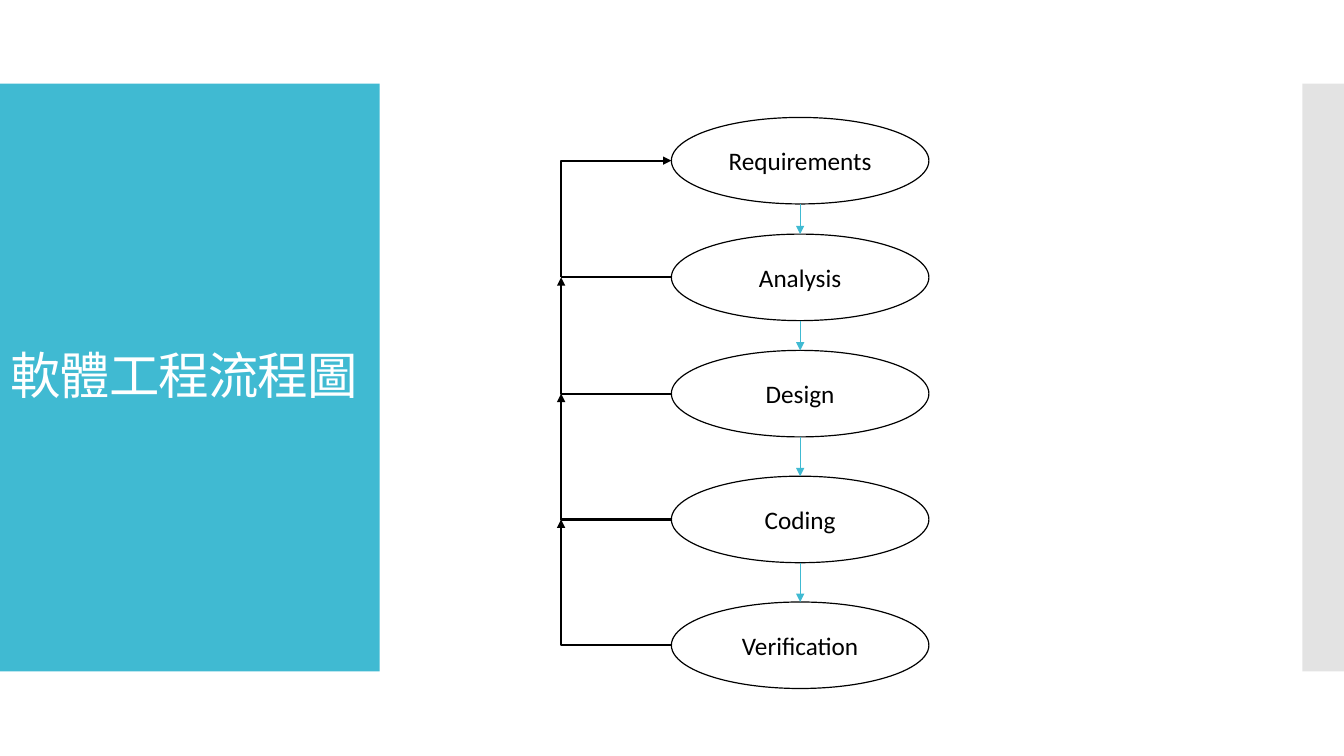
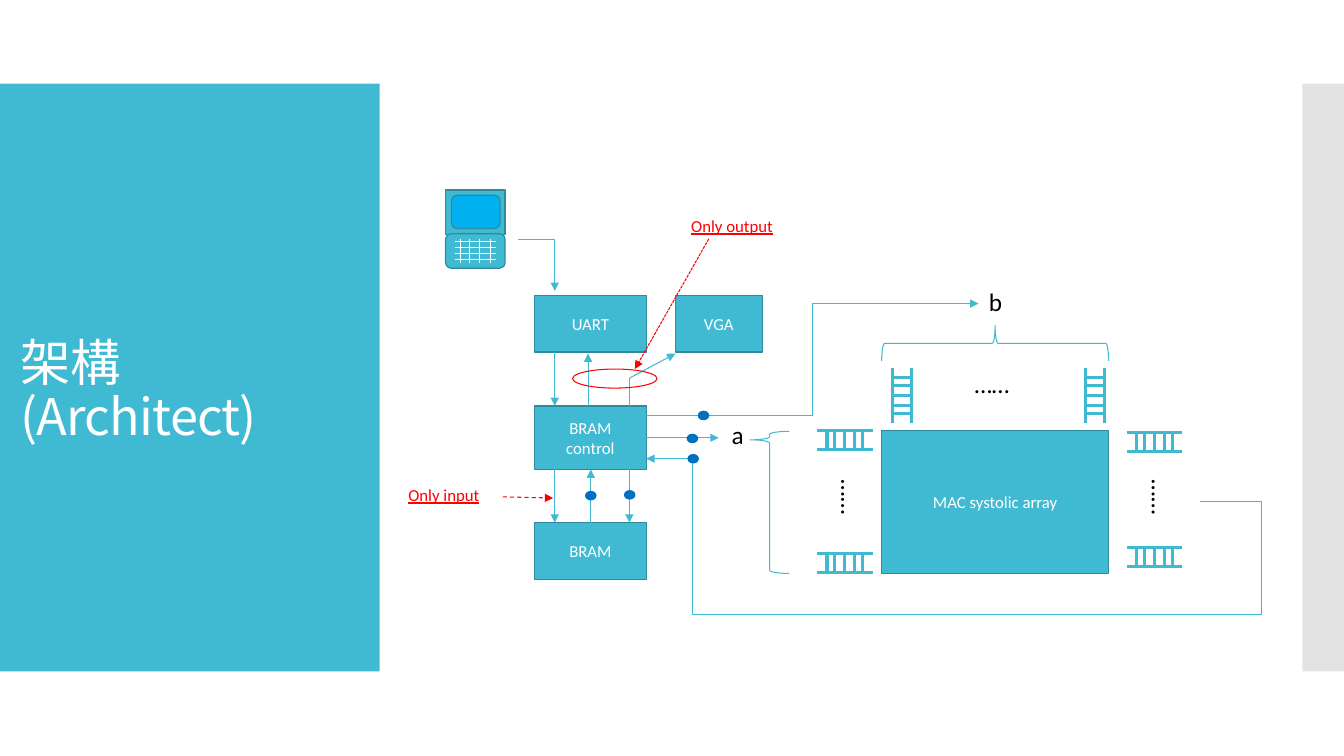
from dataclasses import dataclass
from itertools import pairwise

from lxml import etree
from pptx import Presentation
from pptx.dml.color import RGBColor
from pptx.enum import dml, shapes, text
from pptx.oxml.ns import qn
from pptx.util import Cm, Pt

SHAPE = shapes.MSO_SHAPE


@dataclass(frozen=True)
class Theme:
    accent: str = "40BAD2"
    accent_edge: str = "2F8A9B"
    band: str = "C8C8C8"
    ink: str = "000000"
    paper: str = "FFFFFF"
    note: str = "FF0000"
    node: str = "0070C0"
    screen: str = "00B0F0"
    title_font: str = "Noto Sans CJK SC"
    body_font: str = "Calibri"
    title_size: int = 36
    label_size: int = 18
    small_size: int = 12
    hairline: float = 0.75
    outline: float = 0.85
    heavy: float = 1.5
    rail: float = 2.25


T = Theme()


def rgb(value):
    return RGBColor.from_string(value)


def sub(parent, tag, **attrs):
    return etree.SubElement(parent, qn(tag), attrs)


def style_text(tf, size, color, font=T.body_font, align=None, underline=None):
    for p in tf.paragraphs:
        p.alignment = align
        for r in p.runs:
            r.font.size, r.font.name = Pt(size), font
            r.font.color.rgb = rgb(color)
            r.font.underline = underline


def unturned(start, end, turn):
    """Ends of a line before it is turned clockwise about its middle."""
    mid_x, mid_y = (start[0] + end[0]) / 2, (start[1] + end[1]) / 2
    dx, dy = end[0] - mid_x, end[1] - mid_y
    for _ in range(turn // 90):
        dx, dy = dy, -dx
    return (mid_x - dx, mid_y - dy), (mid_x + dx, mid_y + dy)


class Region:
    """Draws on a slide, in cm from the region's top left corner."""

    def __init__(self, s, left, top):
        self.shapes, self.left, self.top = s.shapes, left, top

    def point(self, x, y):
        return Cm(self.left + x), Cm(self.top + y)

    def shape(self, kind, x, y, w, h, fill=None, line=None, width=T.outline,
              label="", size=T.small_size, color=T.paper):
        sp = self.shapes.add_shape(kind, *self.point(x, y), Cm(w), Cm(h))
        sp.shadow.inherit = False
        if fill:
            sp.fill.solid()
            sp.fill.fore_color.rgb = rgb(fill)
        else:
            sp.fill.background()
        if line:
            sp.line.color.rgb = rgb(line)
            sp.line.width = Pt(width)
        else:
            sp.line.fill.background()
        if label:
            tf = sp.text_frame
            tf.text = label
            tf.vertical_anchor = text.MSO_ANCHOR.MIDDLE
            style_text(tf, size, color, align=text.PP_ALIGN.CENTER)
        return sp

    def block(self, x, y, w, h, label="", kind=SHAPE.RECTANGLE, fill=T.accent):
        return self.shape(kind, x, y, w, h, fill, T.accent_edge, label=label)

    def connect(self, start, end, color=T.accent, width=T.hairline,
                arrow=False, dash=None, bend=None, corner=False, turn=0):
        """Straight line, elbow turning at the fraction bend, or one corner."""
        kind = shapes.MSO_CONNECTOR
        straight = bend is None and not corner
        start, end = unturned(start, end, turn)
        c = self.shapes.add_connector(
            kind.STRAIGHT if straight else kind.ELBOW,
            *self.point(*start), *self.point(*end))
        c.line.color.rgb = rgb(color)
        c.line.width = Pt(width)
        if dash:
            c.line.dash_style = dash
        props = c.element.spPr
        geometry = props.find(qn("a:prstGeom"))
        if turn:
            props.find(qn("a:xfrm")).set("rot", str(turn * 60000))
        if corner:
            geometry.set("prst", "bentConnector2")
        if bend is not None:
            sub(geometry.find(qn("a:avLst")), "a:gd", name="adj1",
                fmla=f"val {round(bend * 100000)}")
        if arrow:
            sub(props.find(qn("a:ln")), "a:tailEnd", type="triangle")
        sub(props, "a:effectLst")

    def arrow(self, start, end, **look):
        self.connect(start, end, arrow=True, **look)

    def label(self, x, y, w, h, words, size=T.label_size, color=T.ink,
              rotation=0, underline=None):
        tb = self.shapes.add_textbox(*self.point(x, y), Cm(w), Cm(h))
        tb.rotation = rotation
        tf = tb.text_frame
        tf.word_wrap = True
        tf.text = words
        style_text(tf, size, color, underline=underline)

    def ladder(self, x, y, upright=False):
        length, gap = 1.39, 0.48
        spans = [((0, across), (length, across)) for across in (0, gap)]
        spans += [((along, 0), (along, gap))
                  for along in (0.24, 0.44, 0.69, 0.94, 1.14)]
        for span in spans:
            ends = [(v, u) if upright else (u, v) for u, v in span]
            self.connect(*[(x + u, y + v) for u, v in ends], width=T.rail)


def add_bands(layout, s):
    """Draws the side bands and moves them to the layout that slides share."""
    r = Region(s, 0, 2.11)
    panel = r.shape(SHAPE.RECTANGLE, 0, 0, 9.57, 14.81, T.accent)
    strip = r.shape(SHAPE.RECTANGLE, 32.82, 0, 1.05, 14.81, T.band)
    sub(strip.element.find(".//" + qn("a:srgbClr")), "a:alpha", val="50000")
    for sp in (strip, panel):
        layout.shapes.element.insert(2, sp.element)


def set_title(s, words, left, top, width, height):
    sp = s.shapes.title
    sp.left, sp.top, sp.width, sp.height = map(Cm, (left, top, width, height))
    tf = sp.text_frame
    tf.text = words
    tf.word_wrap = True
    tf.auto_size = text.MSO_AUTO_SIZE.NONE
    tf.vertical_anchor = text.MSO_ANCHOR.MIDDLE
    style_text(tf, T.title_size, T.paper, T.title_font, text.PP_ALIGN.LEFT)
    for p in tf.paragraphs:
        p.line_spacing = 0.9
        for r in p.runs:
            props = r.font._element
            props.set("spc", "-60")
            sub(props, "a:ea", typeface=T.title_font)


def draw_process(s, left, top):
    """Stages from top to bottom, with a feedback rail at the left edge."""
    r = Region(s, left, top)
    x, w, h = 2.78, 6.49, 2.18
    stages = {"Requirements": 0, "Analysis": 2.94, "Design": 5.87,
              "Coding": 9.04, "Verification": 12.21}
    for name, y in stages.items():
        r.shape(SHAPE.OVAL, x, y, w, h, line=T.ink, label=name,
                size=T.label_size, color=T.ink)
    feedback = dict(color=T.ink, width=T.heavy)
    for upper, lower in pairwise(stages.values()):
        r.arrow((x + w / 2, upper + h), (x + w / 2, lower))
        source, joint = (x, lower + h / 2), (0, upper + h / 2)
        if upper == 0:
            rail = (0, lower + h / 2)
            r.connect(source, rail, **feedback)
            r.arrow(rail, (x, h / 2), corner=True, turn=90, **feedback)
        else:
            r.arrow(source, joint, corner=True, turn=180, **feedback)


def draw_computer(s, left, top):
    r = Region(s, left, top)
    rounded = SHAPE.ROUNDED_RECTANGLE
    r.block(0, 0, 1.5, 1.12)
    r.block(0.15, 0.13, 1.22, 0.84, kind=rounded, fill=T.screen)
    r.block(0, 1.1, 1.5, 0.87, kind=rounded)
    for y in (1.3, 1.45, 1.6, 1.75):
        r.connect((0.23, y), (1.27, y), T.paper)
    for x in (0.38, 0.6, 0.86, 1.12):
        r.connect((x, 1.22), (x, 1.83), T.paper)


def draw_array(s, left, top):
    """MAC array at the origin, with its queues and braces around it."""
    r = Region(s, left, top)
    w, h = 5.72, 3.6
    r.block(0, 0, w, h, "MAC systolic array")
    for x, y in ((-1.62, 0), (-1.62, 3.09), (6.18, 0.05), (6.18, 2.94)):
        r.ladder(x, y)
    for x in (0.28, 5.14):
        r.ladder(x, -1.57, upright=True)
    depth = 0.89
    brace = r.shape(SHAPE.RIGHT_BRACE, (w - depth) / 2, -2.2 - w / 2, depth, w,
                    line=T.accent, width=T.hairline)
    brace.rotation = 270
    brace = r.shape(SHAPE.LEFT_BRACE, -3.32, 0.02, 0.99, 3.58,
                    line=T.accent, width=T.hairline)
    brace.adjustments[0], brace.adjustments[1] = 0.08, 0.06
    r.label(2.09, -1.7, 1.73, 1.14, "……")
    for x in (-1.62, 6.21):
        r.label(x, 1.38, 1.75, 0.97, "……", rotation=90)
    r.label(2.45, -3.76, 1.73, 1.14, "b")
    r.label(-4.03, -0.41, 1.73, 1.14, "a")


def draw_memory(s, left, top):
    """UART, VGA and BRAM blocks with their signals and notes."""
    r = Region(s, left, top)
    w, h = 2.82, 1.43
    control, control_end, bram = 2.79, 4.39, 5.73
    r.block(0, 0, w, h, "UART")
    r.block(3.55, 0, 2.19, h, "VGA")
    r.block(0, control, w, control_end - control, "BRAM\ncontrol")
    r.block(0, bram, w, h, "BRAM")

    r.arrow((-0.39, -1.41), (0.51, -0.11), bend=0.01, turn=270)
    r.arrow((0.51, h), (0.51, control))
    r.arrow((1.35, control), (1.35, h + 0.04))
    corner = (2.39, 2.09)
    r.connect((2.39, control), corner)
    r.arrow(corner, (3.55, h + 0.04))
    for x in (0.51, 2.39):
        r.arrow((x, control_end), (x, bram))
    r.arrow((1.42, bram), (1.42, control_end))

    r.arrow((w, 3.59), (4.64, 3.59))
    r.arrow((w, 3.02), (11.19, 0.21), bend=0.5)
    base, lane, outer = 8.05, 3.98, 18.33
    back, out, out_end = 13.05, 12.92, 16.78
    r.arrow((back, base), (w, 4.12), bend=(back - lane) / (back - w))
    r.connect((out, base), (out_end, 5.21),
              bend=(outer - out) / (out_end - out))

    r.shape(SHAPE.OVAL, 0.96, 1.86, 2.13, 0.48, line=T.note, width=T.hairline)
    note = dict(size=T.small_size, color=T.note, underline=True)
    r.label(-3.43, 4.65, 2.64, 0.86, "Only input", **note)
    r.label(3.7, -2.13, 3.02, 0.86, "Only output", **note)
    dot_w, dot_h = 0.26, 0.21
    for x, y in ((4.26, 3.03), (3.98, 3.61), (4, 4.12),
                 (2.4, 5.03), (1.42, 5.05)):
        r.shape(SHAPE.OVAL, x - dot_w / 2, y - dot_h / 2, dot_w, dot_h,
                T.node, T.node)
    r.arrow((4.39, -1.42), (2.53, 1.86), color=T.note,
            dash=dml.MSO_LINE.SQUARE_DOT)
    r.arrow((-0.8, 5.08), (0.47, 5.11), color=T.note, dash=dml.MSO_LINE.DASH)


def process_slide(s):
    set_title(s, "軟體工程流程圖", 0, 7.7, 9.55, 3.68)
    draw_process(s, 14.14, 2.96)


def architecture_slide(s):
    set_title(s, "架構\v(Architect)", 0.27, 8.7, 9.22, 2.36)
    draw_array(s, 22.22, 10.85)
    draw_memory(s, 13.47, 7.44)
    draw_computer(s, 11.23, 4.79)


def main():
    prs = Presentation()
    prs.slide_width, prs.slide_height = Cm(33.87), Cm(19.05)
    layout = prs.slide_layouts.get_by_name("Title Only")
    slides = [prs.slides.add_slide(layout) for _ in range(2)]
    add_bands(layout, slides[0])
    process_slide(slides[0])
    architecture_slide(slides[1])
    prs.save("out.pptx")


if __name__ == "__main__":
    main()
